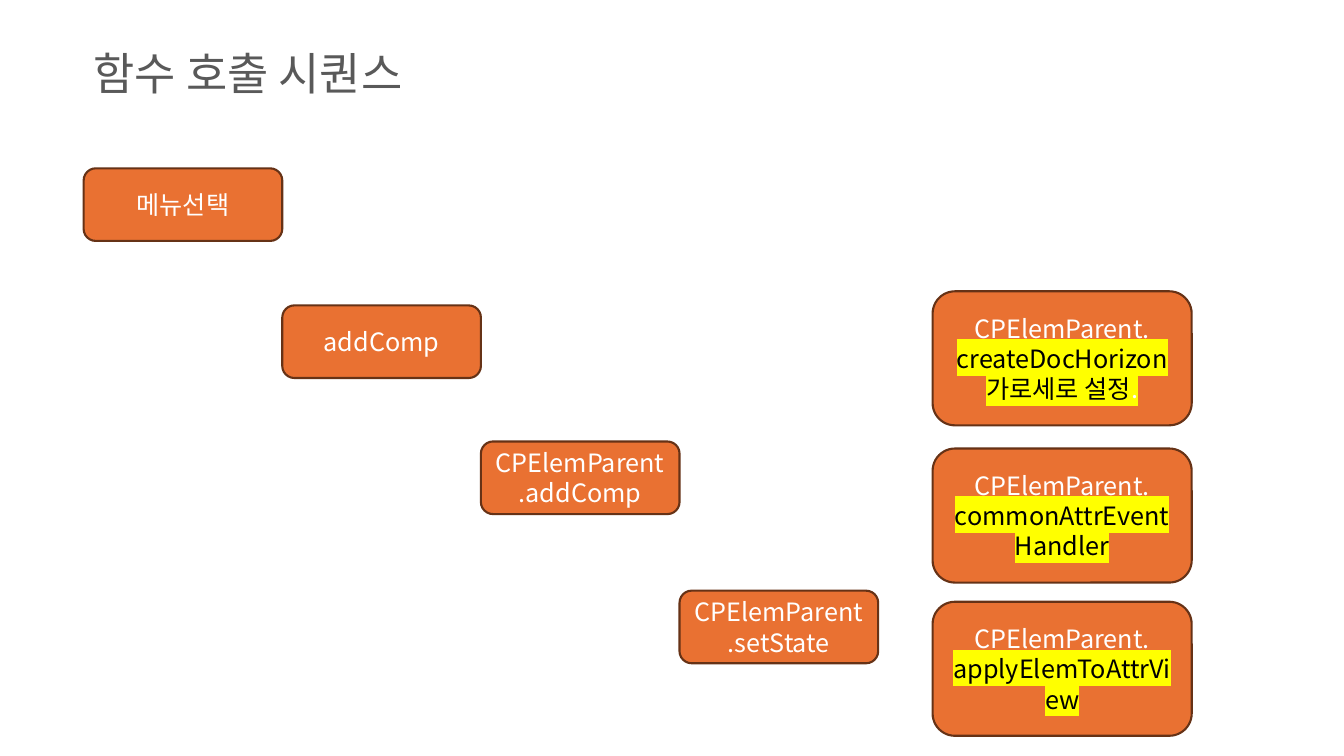
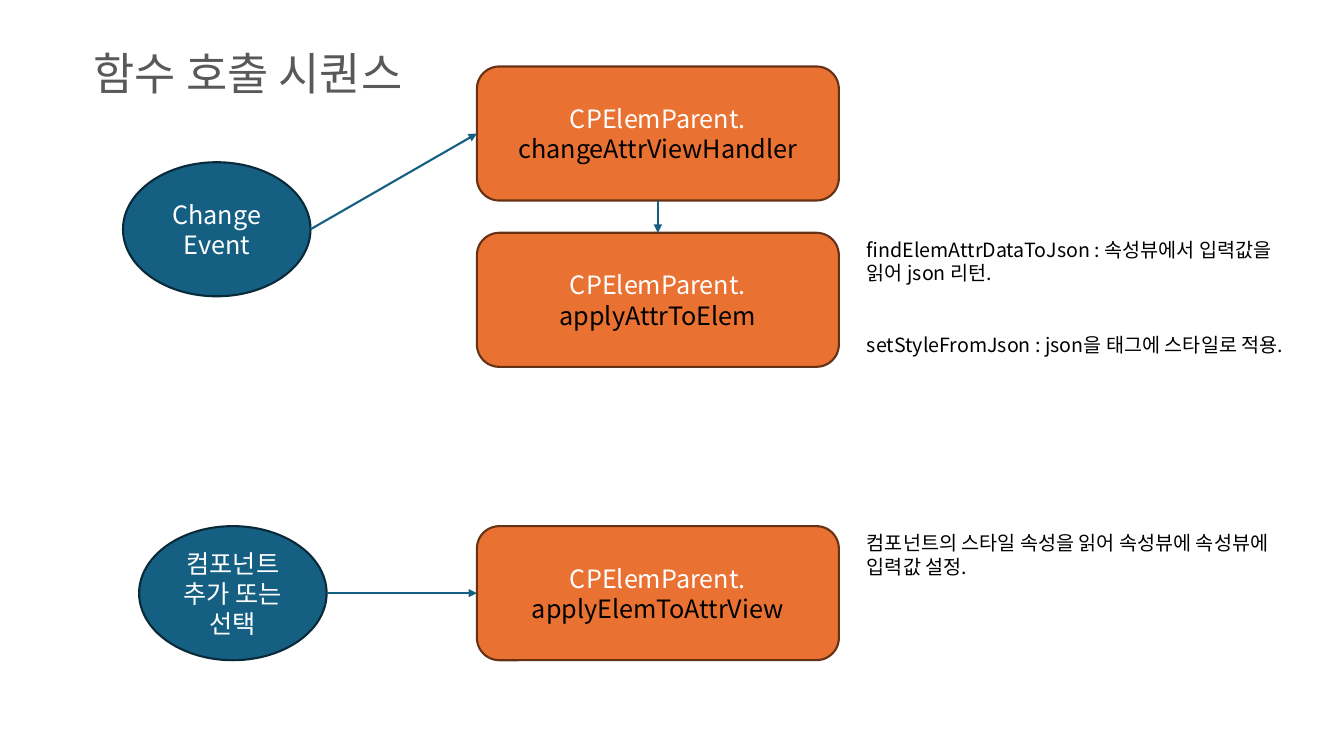
import pptx
import pptx.util
import pptx.dml.color
import pptx.enum.shapes
import pptx.enum.text
import pptx.oxml
import pptx.oxml.ns
from dataclasses import dataclass

Inches, Pt = pptx.util.Inches, pptx.util.Pt
SHAPE = pptx.enum.shapes.MSO_SHAPE
ALIGN = pptx.enum.text.PP_ALIGN
ANCHOR = pptx.enum.text.MSO_ANCHOR
NS = pptx.oxml.ns.nsdecls("a")


@dataclass(frozen=True)
class Theme:
    font: str = "Noto Sans CJK KR"
    title_size: int = 32
    label_size: int = 18
    note_size: int = 14
    line_width: float = 1.5
    title: str = "595959"
    white: str = "FFFFFF"
    black: str = "000000"
    mark: str = "FFFF00"
    step: str = "E97132"
    step_line: str = "663216"
    event: str = "156082"
    event_line: str = "092A39"


THEME = Theme()
TITLE = "함수 호출 시퀀스"
OWNER = "CPElemParent. "

CALLS = [
    ("메뉴선택", 1.67),
    ("addComp", 3.03),
    ("CPElemParent.addComp", 4.38),
    ("CPElemParent.setState", 5.86),
]
CALL_LEFT, CALL_W, CALL_H = 0.83, 1.97, 0.72

STATE_CALLS = [
    (2.89, "createDocHorizon", "가로세로 설정"),
    (4.45, "commonAttrEventHandler", None),
    (5.97, "applyElemToAttrView", None),
]
STATE_LEFT, STATE_W = 9.25, 2.57

HANDLERS = [
    ("changeAttrViewHandler", 0.66, []),
    ("applyAttrToElem", 2.31, [
        "findElemAttrDataToJson : 속성뷰에서 입력값을 읽어 json 리턴.",
        "setStyleFromJson : json을 태그에 스타일로 적용.",
    ]),
    ("applyElemToAttrView", 5.22, ["컴포넌트의 스타일 속성을 읽어 속성뷰에 속성뷰에 입력값 설정."]),
]
EVENTS = [
    ("Change Event", 1.22, 1.61, "changeAttrViewHandler"),
    ("컴포넌트 추가 또는 선택", 1.38, 5.22, "applyElemToAttrView"),
]
HANDLER_LEFT, HANDLER_W, EVENT_W, BOX_H = 4.73, 3.59, 1.86, 1.33
NOTE_LEFT, NOTE_W, NOTE_GAP = 8.5, 4.46, 34
TOP_SITE, LEFT_SITE = 0, 1


def rgb(value):
    return pptx.dml.color.RGBColor.from_string(value)


def add_text(p, text, size=THEME.label_size, color=THEME.white, mark=None):
    r = p.add_run()
    r.text = text
    r.font.size = Pt(size)
    r.font.color.rgb = rgb(color)
    r.font.name = THEME.font
    latin = r.font._element.find(pptx.oxml.ns.qn("a:latin"))
    latin.addnext(pptx.oxml.parse_xml(f'<a:ea {NS} typeface="{THEME.font}"/>'))
    if mark:
        latin.addprevious(pptx.oxml.parse_xml(
            f'<a:highlight {NS}><a:srgbClr val="{mark}"/></a:highlight>'))


def add_box(s, kind, left, top, width, height, fill, line, paragraphs):
    sp = s.shapes.add_shape(kind, Inches(left), Inches(top), Inches(width), Inches(height))
    sp.shadow.inherit = False
    sp.fill.solid()
    sp.fill.fore_color.rgb = rgb(fill)
    sp.line.color.rgb = rgb(line)
    sp.line.width = Pt(THEME.line_width)
    tf = sp.text_frame
    tf.word_wrap = True
    tf.vertical_anchor = ANCHOR.MIDDLE
    for i, runs in enumerate(paragraphs):
        p = tf.add_paragraph() if i else tf.paragraphs[0]
        p.alignment = ALIGN.CENTER
        for text, style in runs:
            add_text(p, text, **style)
    return sp


def add_step(s, left, top, width, height, paragraphs):
    return add_box(s, SHAPE.ROUNDED_RECTANGLE, left, top, width, height,
                   THEME.step, THEME.step_line, paragraphs)


def add_notes_text(s, top, notes):
    sp = s.shapes.add_textbox(Inches(NOTE_LEFT), Inches(top), Inches(NOTE_W), Inches(0.81))
    tf = sp.text_frame
    tf.word_wrap = True
    for i, note in enumerate(notes):
        p = tf.add_paragraph() if i else tf.paragraphs[0]
        if i:
            p.space_before = Pt(NOTE_GAP)
        add_text(p, note, size=THEME.note_size, color=THEME.black)


def add_arrow(s, x, y, target, site):
    cx = s.shapes.add_connector(pptx.enum.shapes.MSO_CONNECTOR.STRAIGHT, x, y, x, y)
    cx.end_connect(target, site)
    cx.line.color.rgb = rgb(THEME.event)
    cx.line.width = Pt(THEME.line_width)
    cx.line._get_or_add_ln().append(pptx.oxml.parse_xml(f'<a:tailEnd {NS} type="triangle"/>'))
    cx._element.spPr.append(pptx.oxml.parse_xml(f"<a:effectLst {NS}/>"))


def add_slide(prs):
    s = prs.slides.add_slide(prs.slide_layouts[5])
    sp = s.shapes.title
    sp.left, sp.top, sp.width, sp.height = map(Inches, (0.83, 0.4, 10.54, 0.64))
    tf = sp.text_frame
    tf.word_wrap = True
    tf.auto_size = pptx.enum.text.MSO_AUTO_SIZE.NONE
    tf.vertical_anchor = ANCHOR.TOP
    p = tf.paragraphs[0]
    p.alignment = ALIGN.LEFT
    add_text(p, TITLE, size=THEME.title_size, color=THEME.title)
    return s


def build_call_steps(prs):
    s = add_slide(prs)
    for i, (name, top) in enumerate(CALLS):
        add_step(s, CALL_LEFT + i * CALL_W, top, CALL_W, CALL_H, [[(name, {})]])
    marked = {"color": THEME.black, "mark": THEME.mark}
    for top, method, remark in STATE_CALLS:
        paragraphs = [[(OWNER, {}), (method, marked)]]
        if remark:
            paragraphs.append([(remark, marked), (".", {"mark": THEME.mark})])
        add_step(s, STATE_LEFT, top, STATE_W, BOX_H, paragraphs)


def build_event_flow(prs):
    s = add_slide(prs)
    boxes = {}
    for method, top, notes in HANDLERS:
        boxes[method] = add_step(s, HANDLER_LEFT, top, HANDLER_W, BOX_H,
                                 [[(OWNER, {}), (method, {"color": THEME.black})]])
        if notes:
            add_notes_text(s, top, notes)
    for name, left, top, method in EVENTS:
        sp = add_box(s, SHAPE.OVAL, left, top, EVENT_W, BOX_H,
                     THEME.event, THEME.event_line, [[(name, {})]])
        add_arrow(s, sp.left + sp.width, sp.top + sp.height // 2, boxes[method], LEFT_SITE)
    sp = boxes["changeAttrViewHandler"]
    add_arrow(s, sp.left + sp.width // 2, sp.top + sp.height, boxes["applyAttrToElem"], TOP_SITE)


def main():
    prs = pptx.Presentation()
    prs.slide_width, prs.slide_height = Inches(13.33), Inches(7.5)
    build_call_steps(prs)
    build_event_flow(prs)
    prs.save("out.pptx")


if __name__ == "__main__":
    main()
